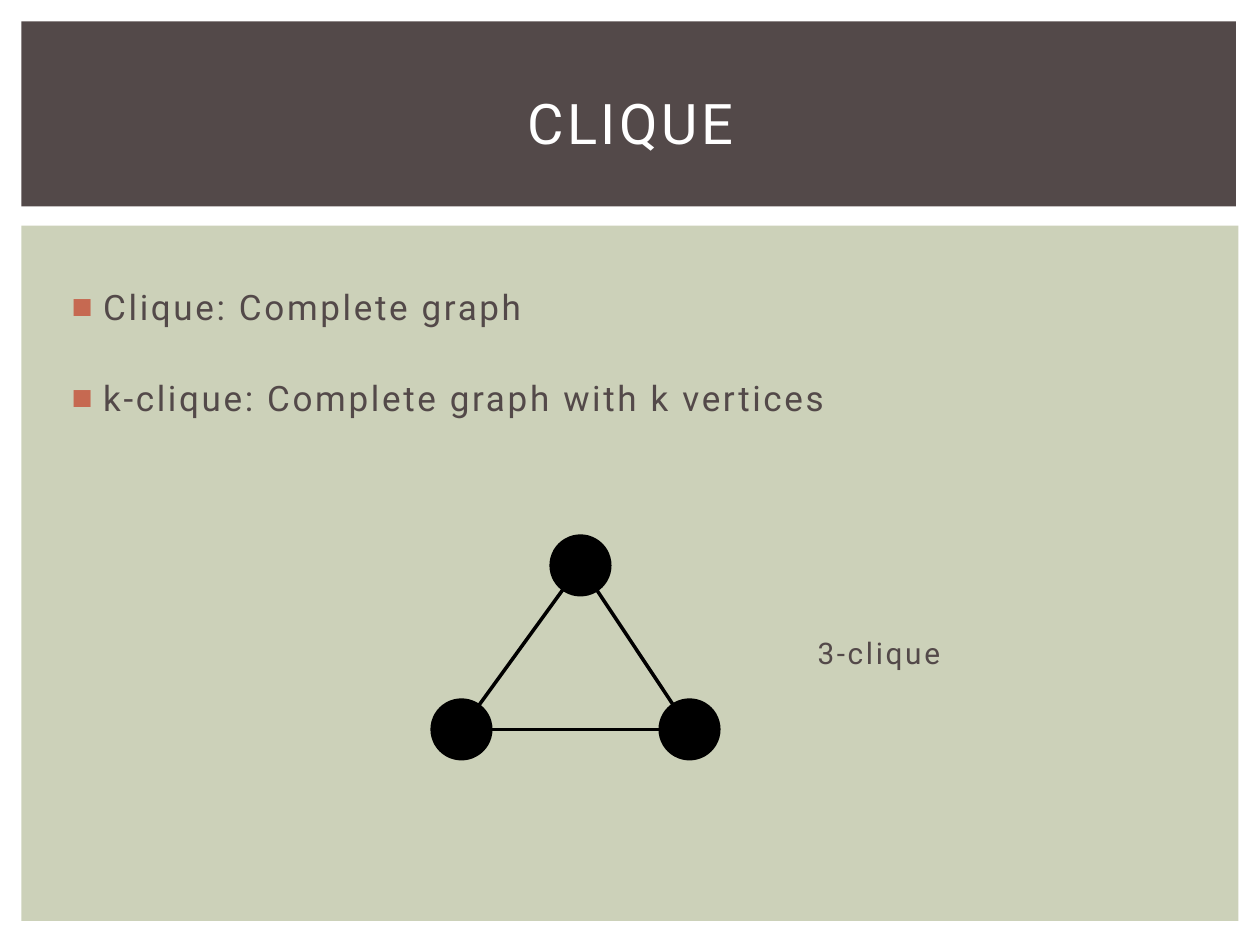
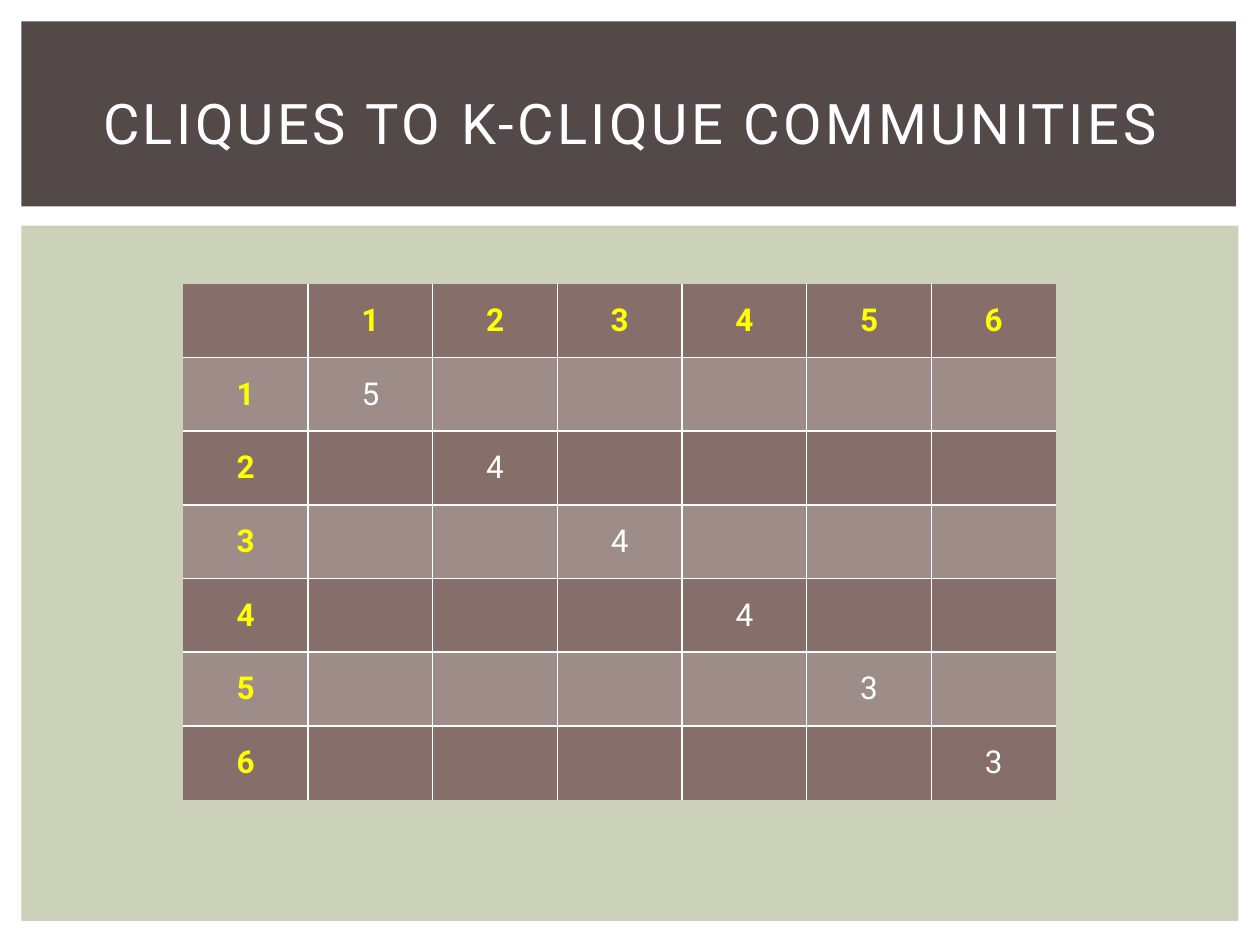
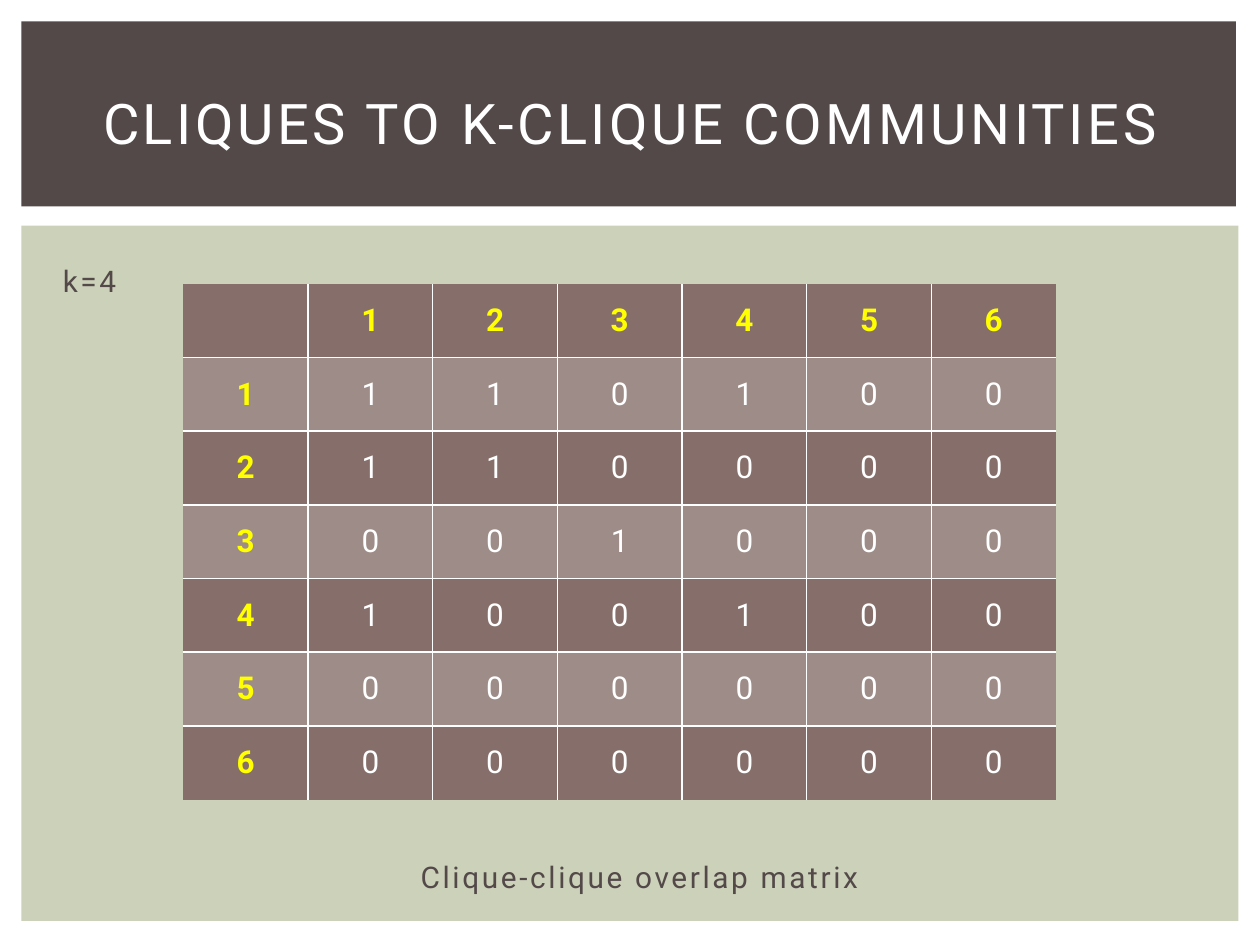
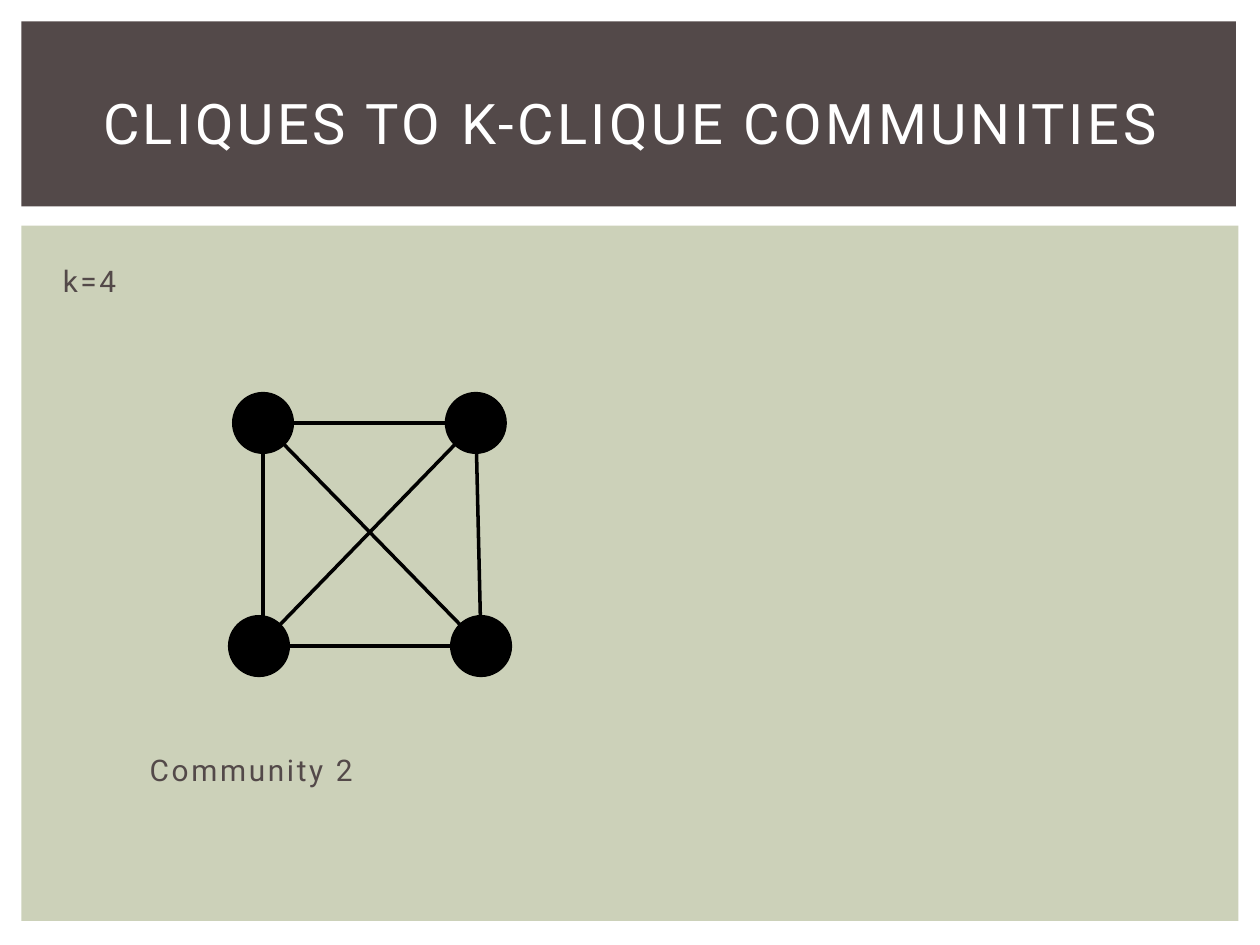
from itertools import combinations

from lxml import etree
from pptx import Presentation
from pptx.dml.color import RGBColor
from pptx.enum.shapes import MSO_CONNECTOR, MSO_SHAPE
from pptx.enum.text import MSO_ANCHOR, PP_ALIGN
from pptx.oxml.ns import qn
from pptx.util import Pt

STRAIGHT = MSO_CONNECTOR.STRAIGHT
RECTANGLE, OVAL = MSO_SHAPE.RECTANGLE, MSO_SHAPE.OVAL
MIDDLE, TOP = MSO_ANCHOR.MIDDLE, MSO_ANCHOR.TOP
CENTER, LEFT = PP_ALIGN.CENTER, PP_ALIGN.LEFT

COLORS = {
    "panel": "CCD1B9",
    "band": "534949",
    "text": "534949",
    "title": "FFFFFF",
    "bullet": "C66951",
    "graph": "000000",
    "row_dark": "866F6A",
    "row_light": "9E8C88",
    "grid": "FFFFFF",
    "heading": "FFFF00",
    "value": "FFFFFF",
}
RGB = {role: RGBColor.from_string(value) for role, value in COLORS.items()}
FONT = "Roboto"
NO_TABLE_STYLE = "{2D5ABB26-0587-4C30-8999-92F81FD0307C}"


def add_run(paragraph, text, size, color, spacing=0, bold=False):
    """Add one styled run; spacing is the letter spacing in points."""
    run = paragraph.add_run()
    run.text = text
    run.font.name = FONT
    run.font.size = Pt(size)
    run.font.bold = bold
    run.font.color.rgb = RGB[color]
    if spacing:
        run.font._element.set("spc", str(int(spacing * 100)))


def place(shape, left, top, width, height):
    shape.left, shape.top = Pt(left), Pt(top)
    shape.width, shape.height = Pt(width), Pt(height)


prs = Presentation()
prs.slide_width, prs.slide_height = Pt(720), Pt(540)
title_and_content, title_only = prs.slide_layouts[1], prs.slide_layouts[5]

clique = prs.slides.add_slide(title_and_content)
sizes, overlap, community = [prs.slides.add_slide(title_only) for _ in range(3)]

# Panel and title band belong to the master, behind its placeholders
bands = [
    ("panel", 12.2, 128.9, 695.5, 397.4),
    ("band", 12.2, 12.2, 694.1, 105.8),
]
for index, (role, left, top, width, height) in enumerate(bands):
    band = clique.shapes.add_shape(RECTANGLE, Pt(left), Pt(top), Pt(width), Pt(height))
    band.shadow.inherit = False
    band.fill.solid()
    band.fill.fore_color.rgb = RGB[role]
    band.line.fill.background()
    band.element.xpath("p:nvSpPr/p:cNvPr")[0].set("id", str(20 + index))
    prs.slide_master.shapes.element.insert(2 + index, band.element)

# Titles
COMMUNITIES_TITLE = "CLIQUES TO K-CLIQUE COMMUNITIES"
titles = [
    (clique, "CLIQUE"),
    (sizes, COMMUNITIES_TITLE),
    (overlap, COMMUNITIES_TITLE),
    (community, COMMUNITIES_TITLE),
]
for slide, text in titles:
    title = slide.shapes.title
    place(title, 30.2, 28.1, 660.2, 82.8)
    title.text_frame.vertical_anchor = MIDDLE
    heading = title.text_frame.paragraphs[0]
    heading.alignment = CENTER
    add_run(heading, text, 32, "title", spacing=2)

# Definitions
definitions = clique.placeholders[1]
place(definitions, 30.2, 135.4, 661.7, 347)
definitions.text_frame.vertical_anchor = TOP
for index, text in enumerate(["Clique: Complete graph",
                              "k-clique: Complete graph with k vertices"]):
    frame = definitions.text_frame
    definition = frame.add_paragraph() if index else frame.paragraphs[0]
    properties = definition._p.get_or_add_pPr()
    properties.set("marL", str(Pt(21.6)))
    properties.set("indent", str(Pt(-18)))
    bullet_color = etree.SubElement(properties, qn("a:buClr"))
    etree.SubElement(bullet_color, qn("a:srgbClr"), val=COLORS["bullet"])
    etree.SubElement(properties, qn("a:buFont"), typeface="Arial")
    etree.SubElement(properties, qn("a:buChar"), char="■")
    definition.alignment = LEFT
    definition.line_spacing = 2.0
    definition.space_before = Pt(4 if index else 0)
    add_run(definition, text, 20, "text", spacing=1.5)

# Clique matrices
ORDER = 6
clique_sizes = [5, 4, 4, 4, 3, 3]
size_matrix = [[clique_sizes[row] if row == col else "" for col in range(ORDER)]
               for row in range(ORDER)]
overlap_matrix = ["110100", "110000", "001000", "100100", "000000", "000000"]
numbers = range(1, ORDER + 1)

for slide, matrix in [(sizes, size_matrix), (overlap, overlap_matrix)]:
    table_frame = slide.shapes.add_table(ORDER + 1, ORDER + 1, Pt(104.8), Pt(162.2),
                                         Pt(498.75), Pt(294.7))
    table_frame.element.xpath(".//a:tableStyleId")[0].text = NO_TABLE_STYLE
    table = table_frame.table
    table.first_row = table.horz_banding = False
    for column in table.columns:
        column.width = Pt(71.25)
    for row in table.rows:
        row.height = Pt(42.1)

    grid = [["", *numbers]] + [[n, *values] for n, values in zip(numbers, matrix)]
    for r, values in enumerate(grid):
        for c, value in enumerate(values):
            cell = table.cell(r, c)
            cell.vertical_anchor = MIDDLE
            inner_edges = {"a:lnL": c > 0, "a:lnR": c < ORDER,
                           "a:lnT": r > 0, "a:lnB": r < ORDER}
            for edge, is_inner in inner_edges.items():
                if is_inner:
                    border = etree.SubElement(cell._tc.get_or_add_tcPr(), qn(edge),
                                              w=str(Pt(1)))
                    border_fill = etree.SubElement(border, qn("a:solidFill"))
                    etree.SubElement(border_fill, qn("a:srgbClr"), val=COLORS["grid"])
            cell.fill.solid()
            cell.fill.fore_color.rgb = RGB["row_light" if r % 2 else "row_dark"]
            entry = cell.text_frame.paragraphs[0]
            entry.alignment = CENTER
            if value != "":
                is_heading = r == 0 or c == 0
                add_run(entry, str(value), 18, "heading" if is_heading else "value",
                        bold=is_heading)

# Graphs: vertex centres and edge ends
DIAMETER = 34
triangle = [(331.7, 323.1), (263.7, 416.8), (394, 416.8)]
bottom_right, top_right = (274.9, 369.2), (271.9, 241.7)
top_left, bottom_left = (150.3, 241.7), (148, 369.2)
square = [bottom_right, top_right, top_left, bottom_left]
square_edges = [
    *combinations([bottom_right, top_right, top_left], 2),
    (bottom_right, bottom_left),
    ((150.3, 369.2), top_left),
    (top_right, (136.1, 381.6)),
]
graphs = [
    (clique, triangle, combinations(triangle, 2)),
    (community, square, square_edges),
]
for slide, vertices, edges in graphs:
    for x, y in vertices:
        vertex = slide.shapes.add_shape(OVAL, Pt(x - DIAMETER / 2), Pt(y - DIAMETER / 2),
                                        Pt(DIAMETER), Pt(DIAMETER))
        vertex.shadow.inherit = False
        vertex.fill.solid()
        vertex.fill.fore_color.rgb = RGB["graph"]
        vertex.line.color.rgb = RGB["graph"]
        vertex.line.width = Pt(1.5)
    for (x1, y1), (x2, y2) in edges:
        edge = slide.shapes.add_connector(STRAIGHT, Pt(x1), Pt(y1), Pt(x2), Pt(y2))
        edge.line.color.rgb = RGB["graph"]
        edge.line.width = Pt(2)
        etree.SubElement(edge.element.spPr, qn("a:effectLst"))

# Labels
labels = [
    (clique, "3-clique", 456.5, 340.6, 102.2),
    (overlap, "k=4", 25.2, 128.2, 67.7),
    (overlap, "Clique-clique overlap matrix", 229.7, 468.7, 283.7),
    (community, "k=4", 25.2, 128.2, 67.7),
    (community, "Community 2", 74.9, 407.5, 252),
]
for slide, text, left, top, width in labels:
    label = slide.shapes.add_textbox(Pt(left), Pt(top), Pt(width), Pt(47.5))
    label.text_frame.word_wrap = True
    caption = label.text_frame.paragraphs[0]
    caption._p.get_or_add_pPr().set("marL", str(Pt(3.6)))
    caption.line_spacing = 1.9
    add_run(caption, text, 17, "text", spacing=1.5)

prs.save("out.pptx")
